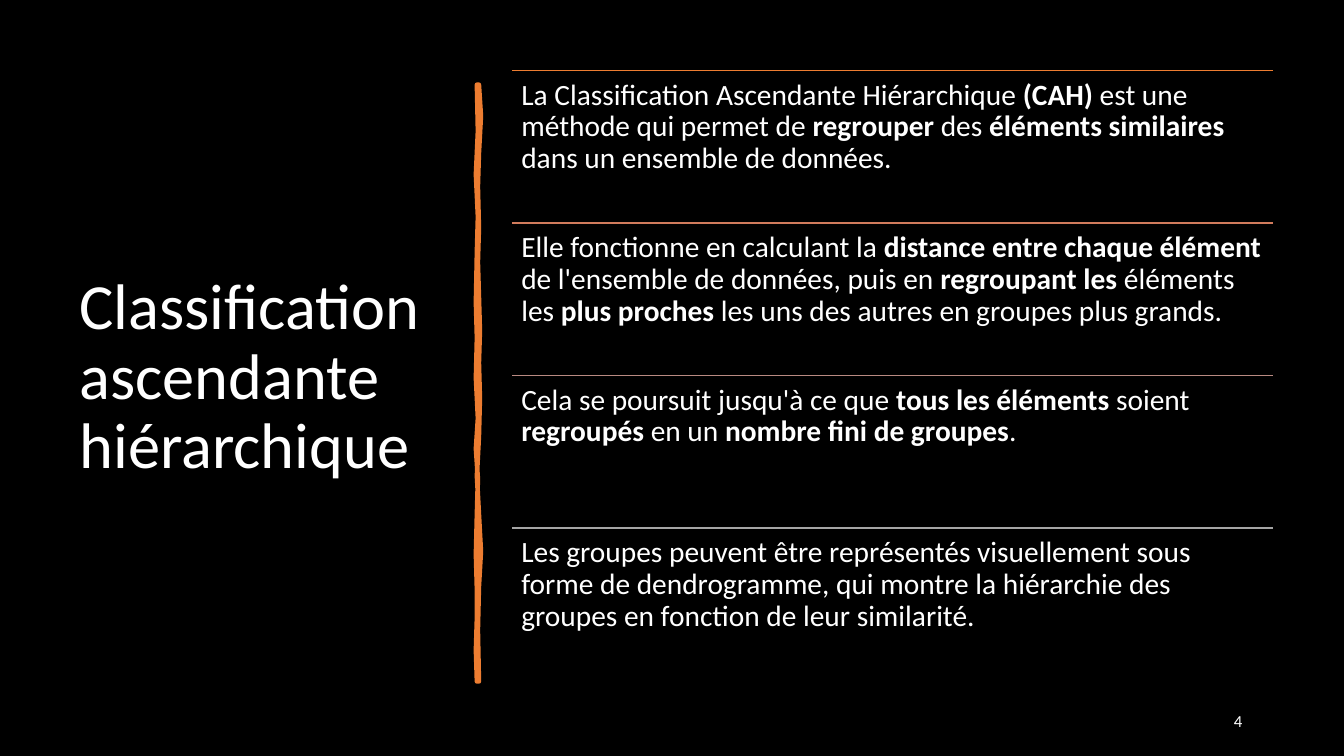
from lxml.etree import SubElement
from pptx import Presentation
from pptx.dml.color import RGBColor
from pptx.enum.shapes import MSO_CONNECTOR
from pptx.enum.text import MSO_ANCHOR, MSO_AUTO_SIZE, PP_ALIGN
from pptx.oxml.ns import qn
from pptx.util import Inches, Pt

BLACK = RGBColor(0x00, 0x00, 0x00)
WHITE = RGBColor(0xFF, 0xFF, 0xFF)
ORANGE = RGBColor(0xED, 0x7D, 0x31)
TERRACOTTA = RGBColor(0xD1, 0x7B, 0x5C)
DUSTY_ROSE = RGBColor(0xB9, 0x8A, 0x82)
GREY = RGBColor(0xA5, 0xA5, 0xA5)
FONT = "Calibri"

# Explanations: rule colour and text, with bold parts between asterisks
EXPLANATIONS = [
    (ORANGE, "La Classification Ascendante Hiérarchique *(CAH) *est une méthode "
             "qui permet de *regrouper* des *éléments similaires *dans un "
             "ensemble de données."),
    (TERRACOTTA, "Elle fonctionne en calculant la *distance entre chaque élément "
                 "*de l'ensemble de données, puis en *regroupant les *éléments "
                 "les *plus proches* les uns des autres en groupes plus grands."),
    (DUSTY_ROSE, "Cela se poursuit jusqu'à ce que *tous les éléments *soient "
                 "*regroupés* en un *nombre fini de groupes*."),
    (GREY, "Les groupes peuvent être représentés visuellement sous forme de "
           "dendrogramme, qui montre la hiérarchie des groupes en fonction de "
           "leur similarité."),
]
ROWS_LEFT, ROWS_TOP, ROW_WIDTH, ROW_HEIGHT = 5.08, 0.7, 7.55, 1.513

# Hand-drawn divider, in inches: right edge downwards, left edge upwards
DIVIDER_OUTLINE = [
    (4.75, 0.84), (4.77, 1.15), (4.75, 1.52), (4.74, 1.85), (4.75, 2.26),
    (4.74, 2.6), (4.75, 2.94), (4.76, 3.28), (4.75, 3.6), (4.76, 3.95),
    (4.75, 4.33), (4.73, 4.72), (4.75, 5.1), (4.77, 5.47), (4.75, 5.82),
    (4.74, 6.25), (4.75, 6.76),
    (4.73, 6.76), (4.72, 6.45), (4.73, 6.13), (4.73, 5.85), (4.72, 5.5),
    (4.73, 5.1), (4.74, 4.75), (4.72, 4.45), (4.74, 4.15), (4.72, 3.75),
    (4.73, 3.35), (4.72, 3.0), (4.73, 2.5), (4.74, 2.15), (4.72, 1.73),
    (4.74, 1.3), (4.73, 0.84),
]


def format_run(run, size, bold=False):
    run.font.name = FONT
    run.font.size = Pt(size)
    run.font.bold = bold
    run.font.color.rgb = WHITE


def add_title(slide, text):
    title = slide.shapes.title
    title.left, title.top = Inches(0.69), Inches(0.7)
    title.width, title.height = Inches(3.74), Inches(6.11)
    frame = title.text_frame
    frame.text = text
    frame.word_wrap = True
    frame.auto_size = MSO_AUTO_SIZE.NONE
    frame.vertical_anchor = MSO_ANCHOR.MIDDLE
    paragraph = frame.paragraphs[0]
    paragraph.alignment = PP_ALIGN.LEFT
    paragraph.line_spacing = 0.9
    format_run(paragraph.runs[0], 46)


def add_divider(slide):
    points = [(Inches(x), Inches(y)) for x, y in DIVIDER_OUTLINE]
    builder = slide.shapes.build_freeform(*points[0])
    builder.add_line_segments(points[1:], close=True)
    divider = builder.convert_to_shape()
    divider.shadow.inherit = False
    divider.fill.solid()
    divider.fill.fore_color.rgb = ORANGE
    divider.line.color.rgb = ORANGE
    divider.line.width = Pt(3.25)
    SubElement(divider.line._get_or_add_ln(), qn("a:round"))


def add_rule(slide, top, color):
    rule = slide.shapes.add_connector(
        MSO_CONNECTOR.STRAIGHT, Inches(ROWS_LEFT), Inches(top),
        Inches(ROWS_LEFT + ROW_WIDTH), Inches(top))
    rule.line.color.rgb = color
    rule.line.width = Pt(1)
    SubElement(rule._element.spPr, qn("a:effectLst"))


def add_explanation(slide, top, text):
    explanation = slide.shapes.add_textbox(
        Inches(ROWS_LEFT), Inches(top), Inches(ROW_WIDTH), Inches(ROW_HEIGHT))
    frame = explanation.text_frame
    frame.word_wrap = True
    frame.margin_left = frame.margin_right = Inches(0.09)
    frame.margin_top = frame.margin_bottom = Inches(0.09)
    paragraph = frame.paragraphs[0]
    paragraph.line_spacing = 0.9
    for index, part in enumerate(text.split("*")):
        run = paragraph.add_run()
        run.text = part
        format_run(run, 21, bold=index % 2 == 1)


def add_page_number(slide, number):
    page_number = slide.shapes.add_textbox(
        Inches(9.42), Inches(6.95), Inches(3), Inches(0.4))
    frame = page_number.text_frame
    frame.text = number
    frame.word_wrap = True
    frame.vertical_anchor = MSO_ANCHOR.MIDDLE
    paragraph = frame.paragraphs[0]
    paragraph.alignment = PP_ALIGN.RIGHT
    paragraph.space_after = Pt(6)
    format_run(paragraph.runs[0], 12)


def main():
    presentation = Presentation()
    presentation.slide_width = Inches(13.33)
    presentation.slide_height = Inches(7.5)
    slide = presentation.slides.add_slide(presentation.slide_layouts[5])
    slide.background.fill.solid()
    slide.background.fill.fore_color.rgb = BLACK

    # Left side
    add_title(slide, "Classification ascendante hiérarchique")
    add_divider(slide)
    add_page_number(slide, "4")

    # Right side: equal rows, each under its rule
    for row, (color, text) in enumerate(EXPLANATIONS):
        top = ROWS_TOP + row * ROW_HEIGHT
        add_rule(slide, top, color)
        add_explanation(slide, top, text)

    presentation.save("out.pptx")


if __name__ == "__main__":
    main()
